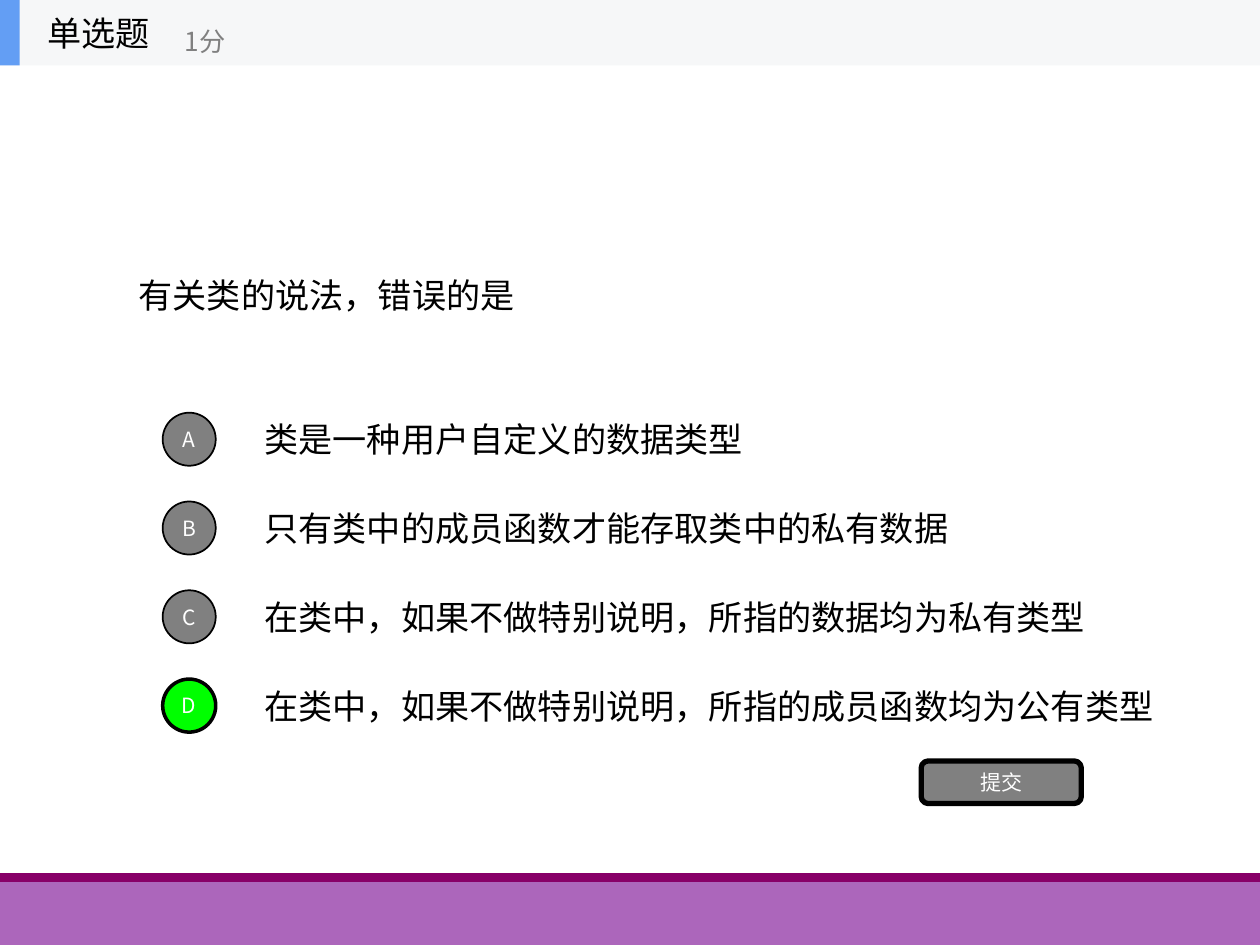
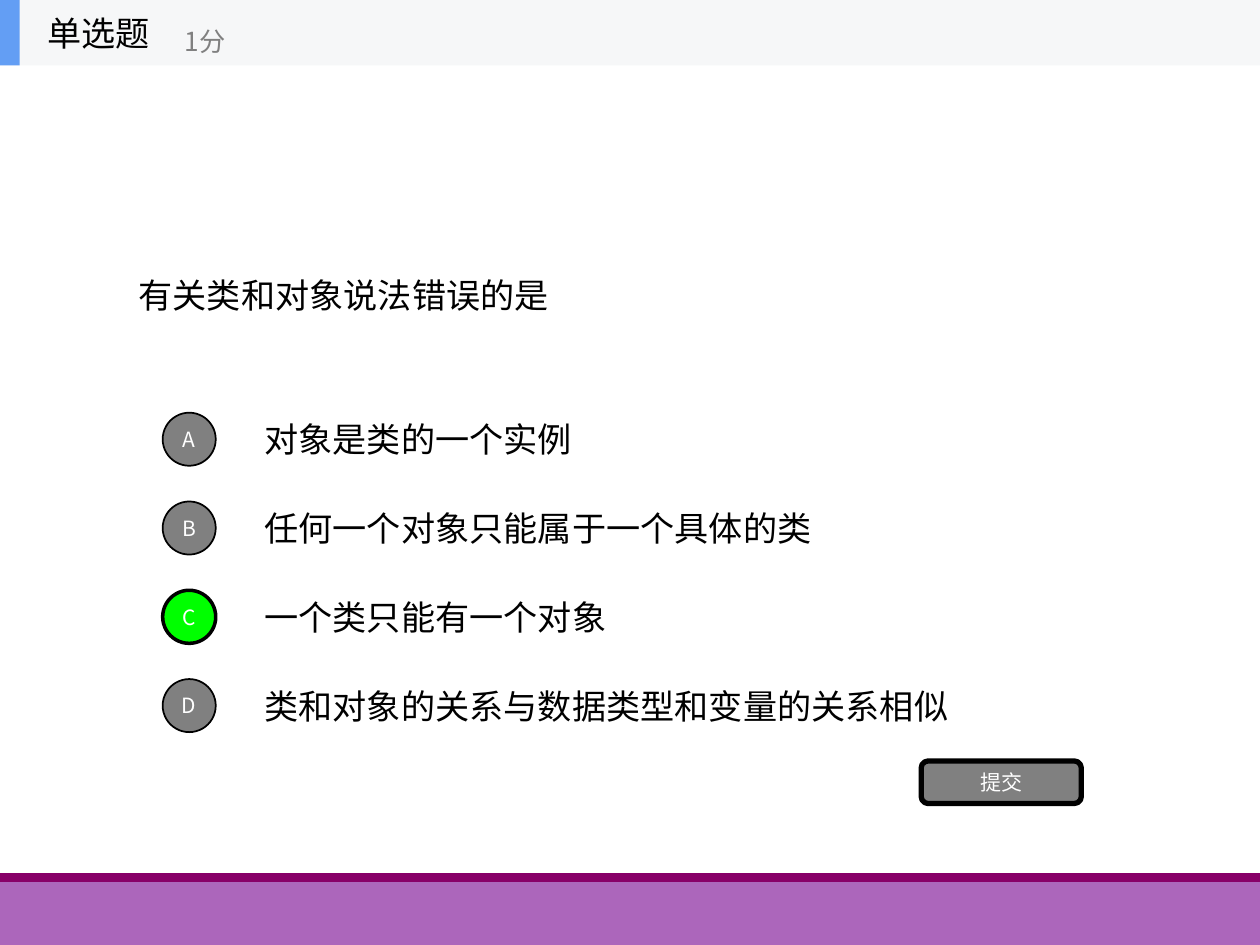
import pptx
import pptx.dml.color
import pptx.enum.shapes
import pptx.enum.text
import pptx.util
from lxml import etree
from pptx.util import Cm

FONT = "Noto Sans CJK SC"
BLACK, WHITE, GRAY, GREEN = "000000", "FFFFFF", "808080", "00FF00"
HEADER_GRAY, HEADER_BLUE = "F6F7F8", "639EF4"
FOOTER_PURPLE, FOOTER_LINE = "AC66BB", "880068"

SLIDE_WIDTH, SLIDE_HEIGHT = 25.4, 19.05
HEADER_HEIGHT = 1.32
OPTION_TOP, OPTION_STEP, OPTION_HEIGHT = 8.18, 1.79, 1.35
BADGE_SIZE = 1.07
LONG_OPTION = 25  # characters beyond which an option needs a wider box

Shapes = pptx.enum.shapes.MSO_SHAPE
Align = pptx.enum.text.PP_ALIGN

# question, options, index of the correct option
QUESTIONS = [
    ("有关类的说法，错误的是",
     ["类是一种用户自定义的数据类型",
      "只有类中的成员函数才能存取类中的私有数据",
      "在类中，如果不做特别说明，所指的数据均为私有类型",
      "在类中，如果不做特别说明，所指的成员函数均为公有类型"], 3),
    ("有关类和对象说法错误的是",
     ["对象是类的一个实例",
      "任何一个对象只能属于一个具体的类",
      "一个类只能有一个对象",
      "类和对象的关系与数据类型和变量的关系相似"], 2),
]


def color(hex_string):
    return pptx.dml.color.RGBColor.from_string(hex_string)


def write(shape, text, size, text_color, align=Align.LEFT):
    """Put one formatted, vertically centred line of text in a shape."""
    frame = shape.text_frame
    frame.text = text
    frame.word_wrap = True
    frame.auto_size = pptx.enum.text.MSO_AUTO_SIZE.NONE
    frame.vertical_anchor = pptx.enum.text.MSO_ANCHOR.MIDDLE
    paragraph = frame.paragraphs[0]
    paragraph.alignment = align
    font = paragraph.runs[0].font
    font.name = FONT
    font.size = pptx.util.Pt(size)
    font.color.rgb = color(text_color)
    # Chinese characters take the East Asian typeface
    latin = font._element.find(pptx.oxml.ns.qn("a:latin"))
    east_asian = etree.Element(pptx.oxml.ns.qn("a:ea"), typeface=FONT)
    latin.addnext(east_asian)


def add_text(shapes, box, text, size=19.5, text_color=BLACK):
    write(shapes.add_textbox(*map(Cm, box)), text, size, text_color)


def add_block(shapes, box, fill, kind=Shapes.RECTANGLE, line_width=0):
    shape = shapes.add_shape(kind, *map(Cm, box))
    shape.shadow.inherit = False
    shape.fill.solid()
    shape.fill.fore_color.rgb = color(fill)
    if line_width:
        shape.line.color.rgb = color(BLACK)
        shape.line.width = pptx.util.Pt(line_width)
    else:
        shape.line.fill.background()
    return shape


def add_button(shapes, box, text, kind, fill, line_width):
    button = add_block(shapes, box, fill, kind, line_width)
    frame = button.text_frame
    frame.margin_left = frame.margin_right = 0
    frame.margin_top = frame.margin_bottom = 0
    write(button, text, 12, WHITE, Align.CENTER)


def add_footer(slide):
    add_block(slide.shapes, (0, 17.78, SLIDE_WIDTH, 1.27), FOOTER_PURPLE)
    add_block(slide.shapes, (0, 17.6, SLIDE_WIDTH, 0.18), FOOTER_LINE)


def add_header(slide):
    shapes = slide.shapes.add_group_shape().shapes
    add_block(shapes, (0, 0, SLIDE_WIDTH, HEADER_HEIGHT), HEADER_GRAY)
    add_block(shapes, (0, 0, 0.4, HEADER_HEIGHT), HEADER_BLUE)
    add_text(shapes, (0.71, 0, 3.96, HEADER_HEIGHT), "单选题")
    add_text(shapes, (3.48, 0.3, 4.78, 1.07), "1分", 15, GRAY)


def add_question(slide, question):
    title = slide.shapes.title
    title.left, title.top, title.width, title.height = map(
        Cm, (2.54, 3.71, 20.32, 4.47))
    write(title, question, 19.5, BLACK)


def add_option(slide, index, text, correct):
    top = OPTION_TOP + index * OPTION_STEP
    width = 18.67 if len(text) > LONG_OPTION else 17.78
    add_text(slide.shapes, (5.08, top, width, OPTION_HEIGHT), text)
    badge_top = top + (OPTION_HEIGHT - BADGE_SIZE) / 2
    add_button(slide.shapes, (3.28, badge_top, BADGE_SIZE, BADGE_SIZE),
               "ABCD"[index], Shapes.OVAL,
               GREEN if correct else GRAY, 2 if correct else 1)


def add_question_slide(presentation, question, options, answer):
    slide = presentation.slides.add_slide(presentation.slide_layouts[5])
    add_footer(slide)
    add_question(slide, question)
    for index, text in enumerate(options):
        add_option(slide, index, text, index == answer)
    add_button(slide.shapes, (18.57, 15.34, 3.23, 0.86), "提交",
               Shapes.ROUNDED_RECTANGLE, GRAY, 3)
    add_header(slide)


def main():
    presentation = pptx.Presentation()
    presentation.slide_width = Cm(SLIDE_WIDTH)
    presentation.slide_height = Cm(SLIDE_HEIGHT)
    for question, options, answer in QUESTIONS:
        add_question_slide(presentation, question, options, answer)
    presentation.save("out.pptx")


if __name__ == "__main__":
    main()
